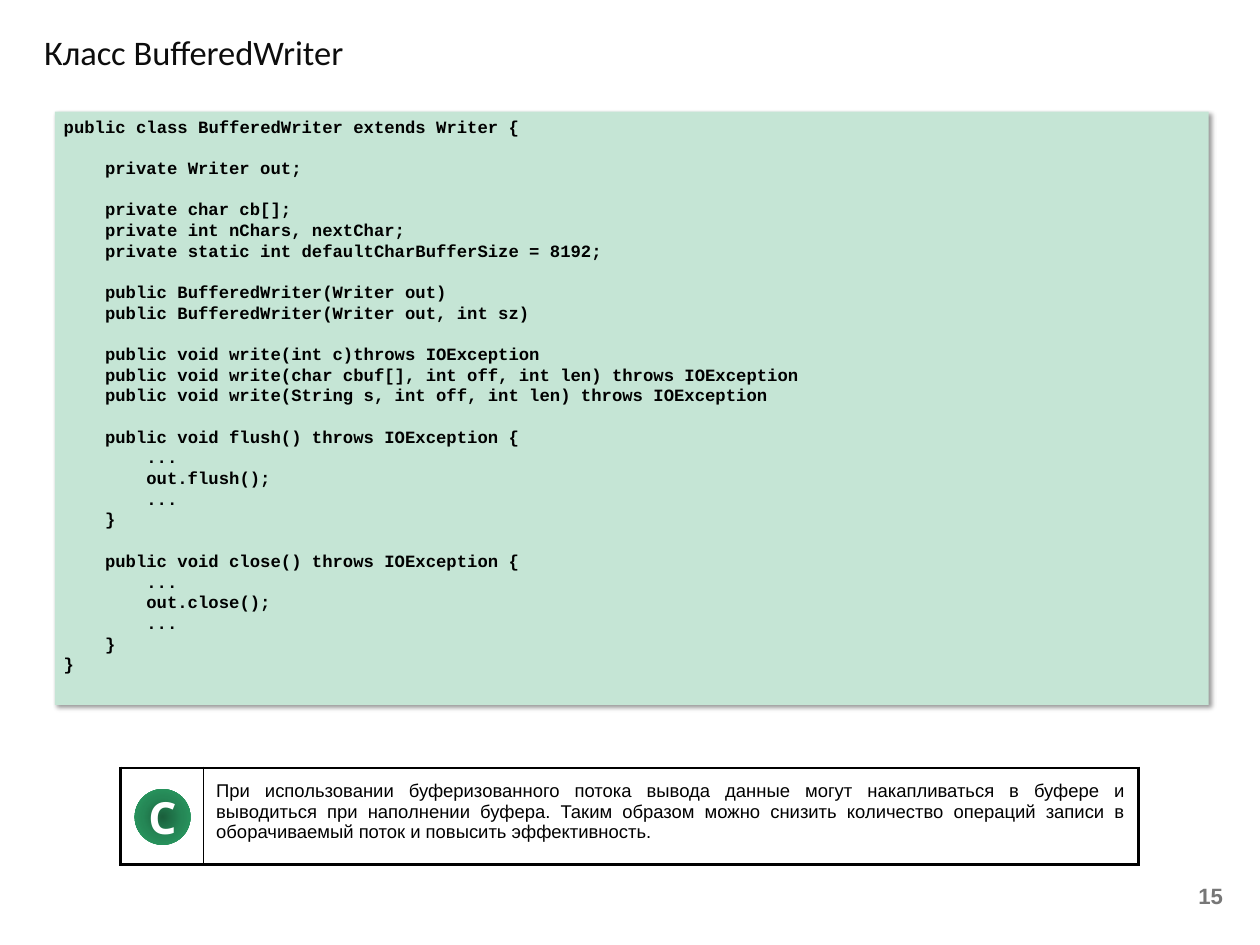
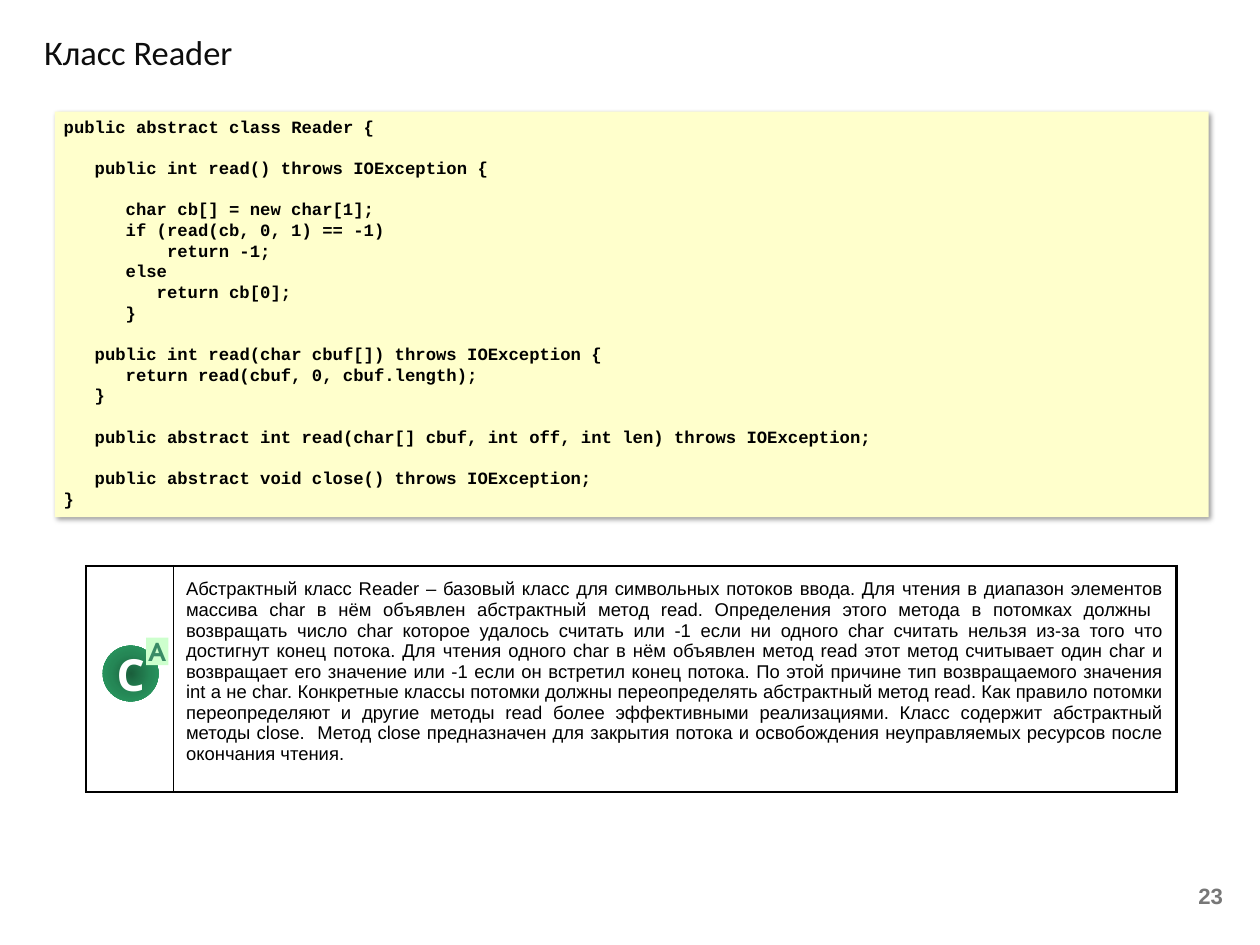
import pptx
import pptx.dml.color
import pptx.enum.shapes
import pptx.enum.text
import pptx.oxml
import pptx.oxml.ns
import pptx.util

PX = 9144
INK, WHITE, GREY, TITLE_INK = "000000", "FFFFFF", "777777", "0D0D0D"
BADGE_STOPS = ((0, "1A5F3C"), (50, "258756"), (100, "2BA166"))
TAG_FILL, TAG_INK = "CDFFCD", "398B66"
CODE_SIZE, CODE_PITCH = 14, 16.8
THICK, THIN = 28575, 6350
NS = pptx.oxml.ns.nsdecls("a")
SHAPE = pptx.enum.shapes.MSO_SHAPE
ALIGN = pptx.enum.text.PP_ALIGN
ANCHOR = pptx.enum.text.MSO_ANCHOR

PAGES = [
    {
        "title": "Класс BufferedWriter",
        "number": "15",
        "code_fill": "C5E5D5",
        "code_height": 670,
        "note_box": (136, 867, 1149, 109),
        "icon_width": 93,
        "badge": (152, 891),
        "abstract": False,
        "code": """public class BufferedWriter extends Writer {

    private Writer out;

    private char cb[];
    private int nChars, nextChar;
    private static int defaultCharBufferSize = 8192;

    public BufferedWriter(Writer out)
    public BufferedWriter(Writer out, int sz)

    public void write(int c)throws IOException
    public void write(char cbuf[], int off, int len) throws IOException
    public void write(String s, int off, int len) throws IOException

    public void flush() throws IOException {
        ...
        out.flush();
        ...
    }

    public void close() throws IOException {
        ...
        out.close();
        ...
    }
}""",
        "note": [
            "При использовании буферизованного потока вывода данные могут "
            "накапливаться в буфере и выводиться при наполнении буфера.",
            "Таким образом можно снизить количество операций записи в "
            "оборачиваемый поток и повысить эффективность.",
        ],
    },
    {
        "title": "Класс Reader",
        "number": "23",
        "code_fill": "FFFFCC",
        "code_height": 458,
        "note_box": (97, 639, 1231, 255),
        "icon_width": 98,
        "badge": (116, 729),
        "abstract": True,
        "code": """public abstract class Reader {

   public int read() throws IOException {

      char cb[] = new char[1];
      if (read(cb, 0, 1) == -1)
          return -1;
      else
         return cb[0];
      }

   public int read(char cbuf[]) throws IOException {
      return read(cbuf, 0, cbuf.length);
   }

   public abstract int read(char[] cbuf, int off, int len) throws IOException;

   public abstract void close() throws IOException;
}""",
        "note": [
            "Абстрактный класс Reader – базовый класс для символьных потоков ввода.",
            "Для чтения в диапазон элементов массива char в нём объявлен "
            "абстрактный метод read.",
            "Определения этого метода в потомках должны  возвращать число char "
            "которое удалось считать или -1 если ни одного char считать нельзя "
            "из-за того что достигнут конец потока.",
            "Для чтения одного char в нём объявлен метод read этот метод считывает "
            "один char и возвращает его значение или -1 если он встретил конец потока.",
            "По этой причине тип возвращаемого значения int а не char.",
            "Конкретные классы потомки должны переопределять абстрактный метод read.",
            "Как правило потомки переопределяют и другие методы read более "
            "эффективными реализациями.",
            "Класс содержит абстрактный методы close.  Метод close предназначен для "
            "закрытия потока и освобождения неуправляемых ресурсов после окончания "
            "чтения.",
        ],
    },
]


def rgb(value):
    return pptx.dml.color.RGBColor.from_string(value)


def write(frame, text, size, font, color, bold=False, align=ALIGN.LEFT,
          anchor=ANCHOR.TOP, margin=None):
    frame.text = text
    frame.word_wrap = True
    frame.vertical_anchor = anchor
    if margin is not None:
        frame.margin_left = frame.margin_right = margin * PX
        frame.margin_top = frame.margin_bottom = margin * PX
    for paragraph in frame.paragraphs:
        paragraph.alignment = align
        for run in paragraph.runs:
            run.font.size = pptx.util.Pt(size)
            run.font.name = font
            run.font.bold = bold
            run.font.color.rgb = rgb(color)


deck = pptx.Presentation()
deck.slide_width, deck.slide_height = 1422 * PX, 1067 * PX

for page in PAGES:
    slide = deck.slides.add_slide(deck.slide_layouts[6])
    shapes = slide.shapes

    title = shapes.add_textbox(40 * PX, 30 * PX, 1103 * PX, 63 * PX)
    write(title.text_frame, page["title"], 28, "Calibri", TITLE_INK)

    number = shapes.add_textbox(1058 * PX, 985 * PX, 332 * PX, 53 * PX)
    write(number.text_frame, page["number"], 18, "Arial", GREY, True,
          ALIGN.RIGHT, ANCHOR.MIDDLE)

    listing = shapes.add_shape(SHAPE.RECTANGLE, 62 * PX, 126 * PX, 1302 * PX,
                               page["code_height"] * PX)
    listing.fill.solid()
    listing.fill.fore_color.rgb = rgb(page["code_fill"])
    listing.line.fill.background()
    listing.shadow.inherit = False
    effects = listing._element.spPr.find(pptx.oxml.ns.qn("a:effectLst"))
    effects.append(pptx.oxml.parse_xml(
        f'<a:outerShdw {NS} blurRad="50800" dist="38100" dir="2700000">'
        f'<a:srgbClr val="{INK}"><a:alpha val="40000"/></a:srgbClr></a:outerShdw>'))

    code_lines = page["code"].split("\n")
    statements = [line.strip() for line in code_lines if line]
    write(listing.text_frame, "\n".join(statements), CODE_SIZE, "Courier New", INK, True)
    paragraphs = iter(listing.text_frame.paragraphs)
    gap = 0
    for line in code_lines:
        if not line:
            gap = CODE_PITCH
            continue
        paragraph = next(paragraphs)
        paragraph.line_spacing = pptx.util.Pt(CODE_PITCH)
        paragraph.space_before = pptx.util.Pt(gap)
        indent = len(line) - len(line.lstrip())
        properties = paragraph._p.get_or_add_pPr()
        properties.set("marL", str(pptx.util.Pt(indent * CODE_SIZE * 0.6)))
        properties.set("indent", "0")
        gap = 0

    left, top, width, height = page["note_box"]
    note = shapes.add_table(1, 2, left * PX, top * PX, width * PX, height * PX).table
    note.first_row = note.horz_banding = False
    note.columns[0].width = page["icon_width"] * PX
    note.columns[1].width = (width - page["icon_width"]) * PX
    icon_cell, note_cell = note.rows[0].cells
    write(note_cell.text_frame, " ".join(page["note"]), 15, "Arial", INK,
          align=ALIGN.JUSTIFY)
    note_cell.margin_left = note_cell.margin_right = 15 * PX
    note_cell.margin_top = note_cell.margin_bottom = 15 * PX
    note_cell.text_frame.paragraphs[0].line_spacing = pptx.util.Pt(16.7)
    for cell, edges in ((icon_cell, (THICK, THIN, THICK, THICK)),
                        (note_cell, (THIN, THICK, THICK, THICK))):
        cell.fill.solid()
        cell.fill.fore_color.rgb = rgb(WHITE)
        borders = cell._tc.get_or_add_tcPr()
        for position, (side, weight) in enumerate(zip("LRTB", edges)):
            borders.insert(position, pptx.oxml.parse_xml(
                f'<a:ln{side} {NS} w="{weight}"><a:solidFill>'
                f'<a:srgbClr val="{INK}"/></a:solidFill></a:ln{side}>'))

    left, top = page["badge"]
    badge = shapes.add_shape(SHAPE.OVAL, left * PX, top * PX, 63 * PX, 63 * PX)
    badge.line.fill.background()
    badge.shadow.inherit = False
    stops = "".join(f'<a:gs pos="{position * 1000}"><a:srgbClr val="{color}"/></a:gs>'
                    for position, color in BADGE_STOPS)
    outline = badge._element.spPr.find(pptx.oxml.ns.qn("a:prstGeom"))
    outline.addnext(pptx.oxml.parse_xml(
        f'<a:gradFill {NS}><a:gsLst>{stops}</a:gsLst><a:path path="circle">'
        '<a:fillToRect l="50000" t="50000" r="50000" b="50000"/></a:path></a:gradFill>'))
    write(badge.text_frame, "C", 36, "Noto Sans", WHITE, True,
          ALIGN.CENTER, ANCHOR.MIDDLE, 0)

    if page["abstract"]:
        tag = shapes.add_shape(SHAPE.RECTANGLE, (left + 49) * PX, (top - 9) * PX,
                               25 * PX, 31 * PX)
        tag.fill.solid()
        tag.fill.fore_color.rgb = rgb(TAG_FILL)
        tag.line.fill.background()
        tag.shadow.inherit = False
        write(tag.text_frame, "A", 20, "TeX Gyre Adventor", TAG_INK, True,
              ALIGN.CENTER, ANCHOR.MIDDLE, 0)

deck.save("out.pptx")
